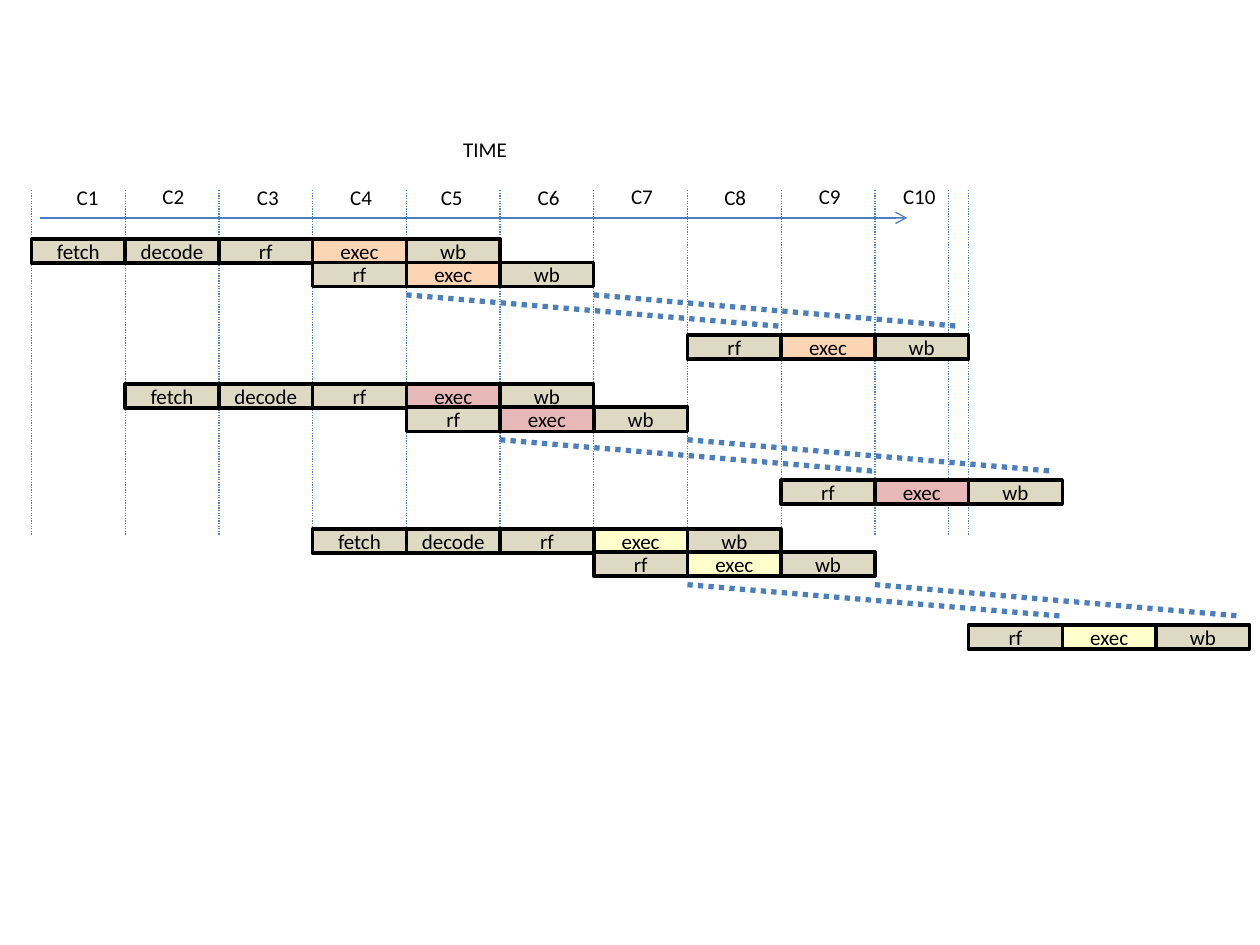
from lxml import etree
from pptx import Presentation
from pptx.dml.color import RGBColor
from pptx.enum.dml import MSO_LINE
from pptx.enum.shapes import MSO_CONNECTOR, MSO_SHAPE
from pptx.enum.text import MSO_ANCHOR, MSO_AUTO_SIZE, PP_ALIGN
from pptx.oxml.ns import qn
from pptx.util import Pt

STRAIGHT = MSO_CONNECTOR.STRAIGHT
RECTANGLE = MSO_SHAPE.RECTANGLE
DOTTED = MSO_LINE.ROUND_DOT
MIDDLE = MSO_ANCHOR.MIDDLE
GROW = MSO_AUTO_SIZE.SHAPE_TO_FIT_TEXT
CENTER = PP_ALIGN.CENTER

GRID_LEFT = 18
CYCLE_WIDTH = 53.55
STAGE_HEIGHT = 13.8
FIRST_TOP = 136.6
INSTRUCTION_PITCH = 82.8
STAGES = ["fetch", "decode", "rf", "exec", "wb"]
PASSES = [(0, 0, STAGES), (3, 13.3, STAGES[2:]), (7, 54.9, STAGES[2:])]
GAPS = [(4, 8, 0), (6, 10, -4.9)]
INSTRUCTIONS = [(0, "FCD5B5"), (1, "E6B9B8"), (3, "FFFFCC")]
CYCLE_LABELS = [
    (36.7, 101.8), (85.7, 101.5), (139.7, 102), (193, 101.8), (244.8, 102),
    (300.2, 102), (353.5, 101.3), (406.8, 101.8), (460.8, 101.3), (509, 101.3),
]


def color(value):
    return RGBColor.from_string(value)


def cycle_x(cycle):
    return GRID_LEFT + cycle * CYCLE_WIDTH


class PipelineDiagram:
    font = "Calibri"
    size = 12
    ink = "000000"
    accent = "4B7EBC"
    stage_fill = "DDD9C3"

    def __init__(self, slide):
        self.shapes = slide.shapes

    def add_words(self, paragraph, words):
        run = paragraph.add_run()
        run.text = words
        run.font.name = self.font
        run.font.size = Pt(self.size)
        run.font.color.rgb = color(self.ink)

    def label(self, words, left, top, width):
        box = self.shapes.add_textbox(Pt(left), Pt(top), Pt(width), Pt(21.8))
        box.text_frame.word_wrap = False
        box.text_frame.auto_size = GROW
        self.add_words(box.text_frame.paragraphs[0], words)

    def stage(self, name, left, top, fill):
        box = self.shapes.add_shape(
            RECTANGLE, Pt(left), Pt(top), Pt(CYCLE_WIDTH), Pt(STAGE_HEIGHT))
        box.shadow.inherit = False
        box.fill.solid()
        box.fill.fore_color.rgb = color(fill)
        box.line.color.rgb = color(self.ink)
        box.line.width = Pt(2)
        box.text_frame.vertical_anchor = MIDDLE
        paragraph = box.text_frame.paragraphs[0]
        paragraph.alignment = CENTER
        self.add_words(paragraph, name)

    def line(self, x1, y1, x2, y2, width=0.75, dash=None, arrow=False):
        connector = self.shapes.add_connector(
            STRAIGHT, Pt(x1), Pt(y1), Pt(x2), Pt(y2))
        connector.line.color.rgb = color(self.accent)
        connector.line.width = Pt(width)
        if dash:
            connector.line.dash_style = dash
        properties = connector._element.spPr
        if arrow:
            etree.SubElement(properties.find(qn("a:ln")), qn("a:tailEnd"), type="arrow")
        etree.SubElement(properties, qn("a:effectLst"))

    def instruction(self, start, top, exec_fill):
        for offset, drop, stages in PASSES:
            for step, name in enumerate(stages):
                fill = exec_fill if name == "exec" else self.stage_fill
                self.stage(name, cycle_x(start + offset + step), top + drop, fill)
        for first, last, shift in GAPS:
            self.line(cycle_x(start + first), top + 31.9,
                      cycle_x(start + last) + shift, top + 49.9, 3, DOTTED)


def main():
    presentation = Presentation()
    presentation.slide_width = Pt(720)
    presentation.slide_height = Pt(540)
    slide = presentation.slides.add_slide(presentation.slide_layouts[6])
    diagram = PipelineDiagram(slide)

    diagram.line(23, 124.5, 518.4, 124.5, arrow=True)
    diagram.label("TIME", 257.6, 74.4, 39.6)
    for x in [cycle_x(cycle) for cycle in range(11)] + [542.2]:
        diagram.line(x, 108.7, x, 306, dash=DOTTED)
    for number, (left, top) in enumerate(CYCLE_LABELS, 1):
        diagram.label(f"C{number}", left, top, 27.4 if number < 10 else 33.1)
    for row, (start, exec_fill) in enumerate(INSTRUCTIONS):
        diagram.instruction(start, FIRST_TOP + row * INSTRUCTION_PITCH, exec_fill)

    presentation.save("out.pptx")


if __name__ == "__main__":
    main()
